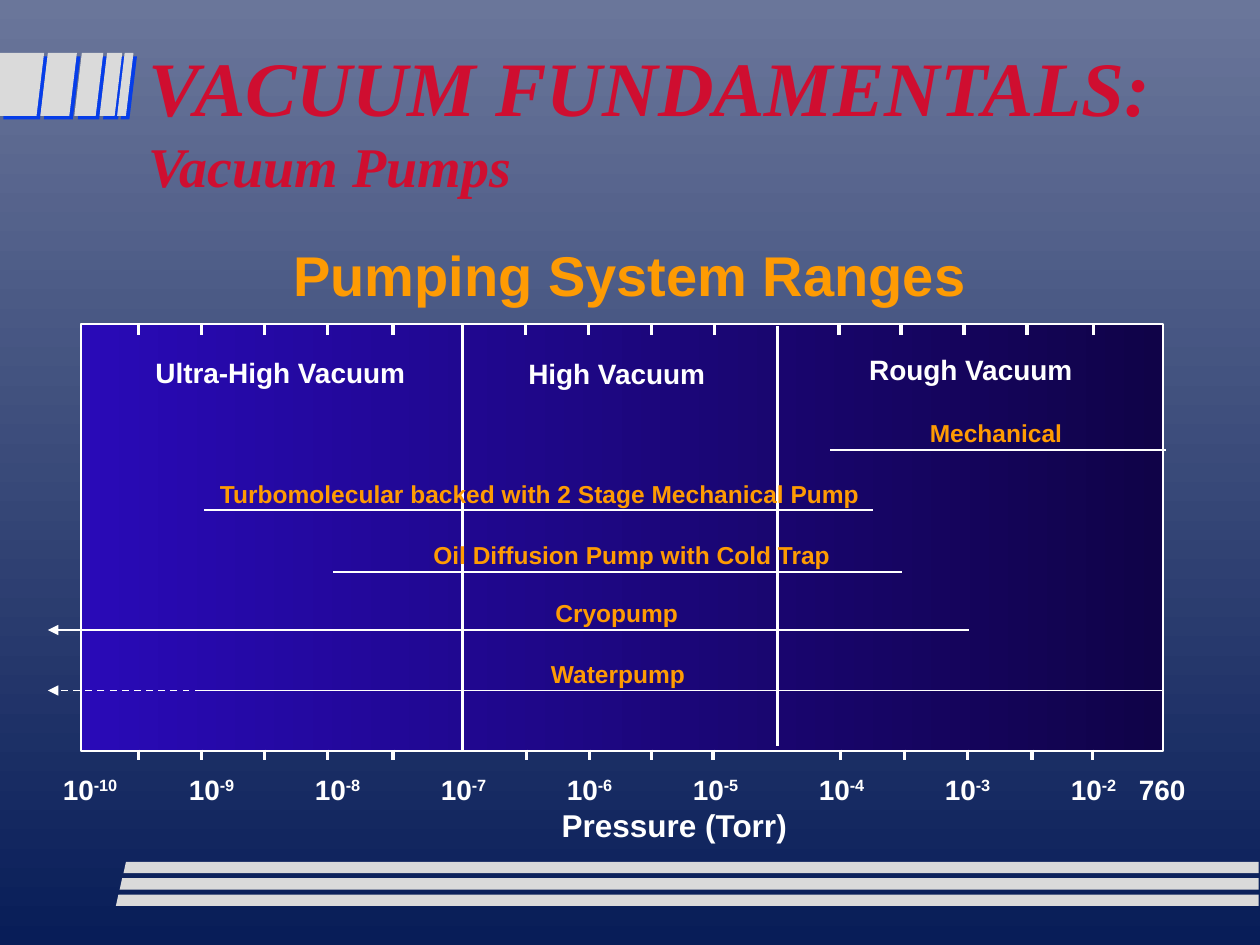
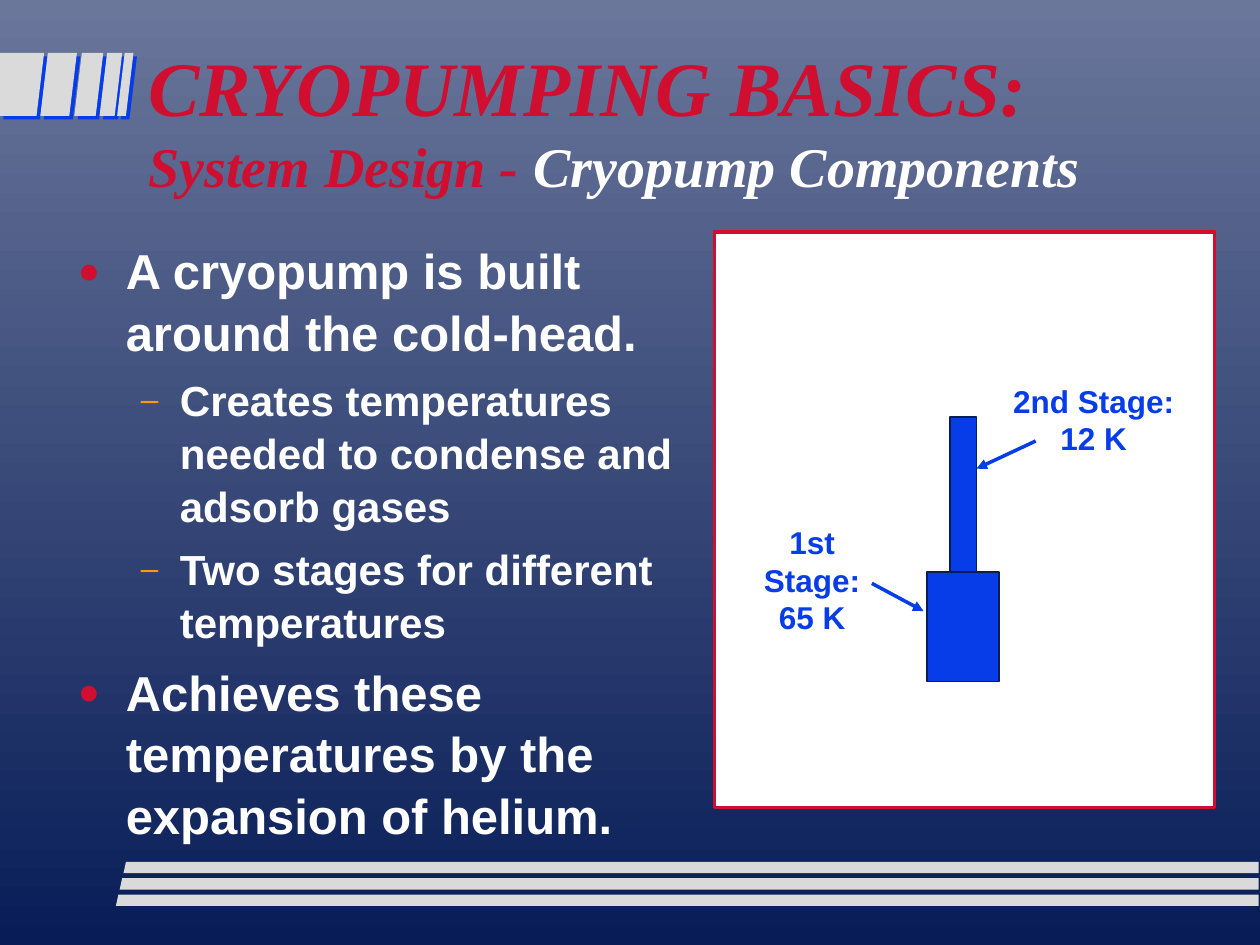
from dataclasses import dataclass

from lxml import etree
from pptx import Presentation
from pptx.dml.color import RGBColor
from pptx.enum.dml import MSO_LINE
from pptx.enum.shapes import MSO_CONNECTOR, MSO_SHAPE
from pptx.enum.text import MSO_ANCHOR, PP_ALIGN
from pptx.oxml.ns import qn
from pptx.util import Inches, Pt

STRAIGHT = MSO_CONNECTOR.STRAIGHT
RECTANGLE = MSO_SHAPE.RECTANGLE
DASH = MSO_LINE.DASH
LEFT, CENTER = PP_ALIGN.LEFT, PP_ALIGN.CENTER
MIDDLE = MSO_ANCHOR.MIDDLE


@dataclass(frozen=True)
class Theme:
    sky: RGBColor = RGBColor(0x6A, 0x76, 0x9A)
    navy: RGBColor = RGBColor(0x08, 0x1D, 0x58)
    silver: RGBColor = RGBColor(0xDA, 0xDA, 0xDA)
    blue: RGBColor = RGBColor(0x06, 0x3D, 0xE8)
    red: RGBColor = RGBColor(0xCF, 0x0E, 0x30)
    orange: RGBColor = RGBColor(0xFE, 0x9B, 0x03)
    white: RGBColor = RGBColor(0xFF, 0xFF, 0xFF)
    chart_dark: RGBColor = RGBColor(0x10, 0x03, 0x48)
    chart_light: RGBColor = RGBColor(0x29, 0x0A, 0xB7)
    title_font: str = "Times New Roman"
    body_font: str = "Arial"
    title_size: int = 44
    heading_size: int = 32
    bullet_size: int = 28
    sub_bullet_size: int = 24
    caption_size: int = 18
    region_size: int = 16
    pump_size: int = 14


THEME = Theme()


def add_text(slide, box, lines, size, color, align=CENTER, wrap=True):
    frame = slide.shapes.add_textbox(*map(Inches, box)).text_frame
    frame.word_wrap = wrap
    frame.text = "\n".join(lines)
    for paragraph in frame.paragraphs:
        paragraph.alignment = align
        font = paragraph.font
        font.name, font.size, font.bold = THEME.body_font, Pt(size), True
        font.color.rgb = color
    return frame


def add_line(slide, start, end, color, width, arrow=False, dash=None):
    line = slide.shapes.add_connector(STRAIGHT, *map(Inches, start + end))
    line.line.color.rgb = color
    line.line.width = Pt(width)
    if dash:
        line.line.dash_style = dash
    properties = line.element.spPr
    if arrow:
        etree.SubElement(properties.find(qn("a:ln")), qn("a:tailEnd"), type="triangle")
    etree.SubElement(properties, qn("a:effectLst"))


prs = Presentation()
prs.slide_width, prs.slide_height = Inches(10), Inches(7.5)

# Outlines shared by both slides: slanted flags and footer stripes
flag_tops = [(0, 0.35), (0.38, 0.61), (0.65, 0.82), (0.85, 0.97), (0.99, 1.06)]
flags = [[(left, 0.42), (right, 0.42), (right - 0.06, 0.92), (max(0, left - 0.06), 0.92)]
         for left, right in flag_tops]
stripes = []
for row in range(3):
    left, top = 1 - 0.03 * row, 6.84 + 0.13 * row
    stripes.append([(left, top), (9.99, top), (9.99, top + 0.09), (left - 0.02, top + 0.09)])
decorations = [(flag, True) for flag in flags] + [(stripe, False) for stripe in stripes]

titles = [
    ("VACUUM FUNDAMENTALS:", [("Vacuum Pumps", THEME.red)]),
    ("CRYOPUMPING BASICS:", [("System Design - ", THEME.red),
                             ("Cryopump Components", THEME.white)]),
]

# Background, decoration and title of each slide
for heading, subtitle in titles:
    slide = prs.slides.add_slide(prs.slide_layouts[6])
    background = slide.background.fill
    background.gradient()
    background.gradient_angle = 270
    for stop, color in zip(background.gradient_stops, (THEME.sky, THEME.navy)):
        stop.color.rgb = color

    for points, has_shadow in decorations:
        corners = [(Inches(x), Inches(y)) for x, y in points]
        builder = slide.shapes.build_freeform(*corners[0])
        builder.add_line_segments(corners[1:], close=True)
        outline = builder.convert_to_shape()
        outline.shadow.inherit = False
        outline.fill.solid()
        outline.fill.fore_color.rgb = THEME.silver
        outline.line.fill.background()
        if has_shadow:
            effects = outline.element.spPr.find(qn("a:effectLst"))
            shadow = etree.SubElement(effects, qn("a:outerShdw"), blurRad="0",
                                      dist=str(Pt(2.8)), dir="2700000", algn="ctr",
                                      rotWithShape="0")
            etree.SubElement(shadow, qn("a:srgbClr"), val=str(THEME.blue))

    title_box = slide.shapes.add_textbox(Inches(1.08), Inches(0.3), Inches(8.5), Inches(1.29))
    title_frame = title_box.text_frame
    title_frame.word_wrap = True
    title_frame.vertical_anchor = MIDDLE
    title = title_frame.paragraphs[0]
    title.font.name, title.font.bold, title.font.italic = THEME.title_font, True, True
    parts = [(heading, THEME.red)] + subtitle
    for number, (words, color) in enumerate(parts):
        run = title.add_run()
        run.text = words
        run.font.size = Pt(THEME.heading_size if number else THEME.title_size)
        run.font.color.rgb = color
        if number == 0:
            title.add_line_break()

ranges_slide, components_slide = prs.slides

# Slide 1: chart field and its heading
add_text(ranges_slide, (2.23, 1.86, 5.54, 0.63), ["Pumping System Ranges"],
         THEME.heading_size, THEME.orange, LEFT, wrap=False)
field = ranges_slide.shapes.add_shape(RECTANGLE, *map(Inches, (0.64, 2.57, 8.59, 3.39)))
field.shadow.inherit = False
field.fill.gradient()
field.fill.gradient_angle = 180
for stop, color in zip(field.fill.gradient_stops, (THEME.chart_dark, THEME.chart_light)):
    stop.color.rgb = color
field.line.color.rgb = THEME.white
field.line.width = Pt(1)

# Region dividers and tick marks
for x, top, bottom in [(3.67, 2.58, 5.95), (6.17, 2.59, 5.92)]:
    add_line(ranges_slide, (x, top), (x, bottom), THEME.white, 2)
left_ticks = [1.1, 1.6, 2.1, 2.6, 3.12]
upper_ticks = left_ticks + [4.17, 4.67, 5.17, 5.67, 6.66, 7.15, 7.65, 8.15, 8.68]
lower_ticks = left_ticks + [4.18, 4.68, 5.17, 5.66, 6.67, 7.18, 7.68, 8.19, 8.67]
for ticks, top, bottom in [(upper_ticks, 2.57, 2.66), (lower_ticks, 5.95, 6.03)]:
    for x in ticks:
        add_line(ranges_slide, (x, top), (x, bottom), THEME.white, 2)

# Region names
for region, left, top, width in [
    ("Ultra-High Vacuum", 1, 2.77, 2.45),
    ("High Vacuum", 3.67, 2.78, 2.45),
    ("Rough Vacuum", 6.17, 2.75, 3.07),
]:
    add_text(ranges_slide, (left, top, width, 0.36), [region], THEME.region_size, THEME.white)

# Working range of each pump: name, label left and width, range ends, height, open end
for pump, left, width, high, low, y, is_open in [
    ("Mechanical", 7.09, 1.63, 9.25, 6.59, 3.57, False),
    ("Turbomolecular backed with 2 Stage Mechanical Pump", 1.2, 6.17, 6.93, 1.62, 4.05, False),
    ("Oil Diffusion Pump with Cold Trap", 1.75, 6.53, 7.16, 2.64, 4.54, False),
    ("Cryopump", 1.82, 6.15, 7.69, 0.38, 5, True),
    ("Waterpump", 1.83, 6.15, 9.23, 1.59, 5.48, False),
]:
    add_line(ranges_slide, (high, y), (low, y), THEME.white, 1, arrow=is_open)
    add_text(ranges_slide, (left, y - 0.3, width, 0.33), [pump], THEME.pump_size, THEME.orange)
add_line(ranges_slide, (1.6, 5.48), (0.38, 5.48), THEME.white, 1, arrow=True, dash=DASH)

# Pressure axis
axis_box = ranges_slide.shapes.add_textbox(*map(Inches, (0.4, 6.08, 9.26, 0.36)))
axis_box.text_frame.word_wrap = True
axis = axis_box.text_frame.paragraphs[0]
tab_list = etree.SubElement(axis._p.get_or_add_pPr(), qn("a:tabLst"))
for position in [*range(1, 9), 8.54]:
    etree.SubElement(tab_list, qn("a:tab"), pos=str(Inches(position)), algn="l")
axis.font.name, axis.font.size, axis.font.bold = THEME.body_font, Pt(THEME.region_size), True
axis.font.color.rgb = THEME.white
for exponent in range(-10, -1):
    axis.add_run().text = "10"
    power = axis.add_run()
    power.text = f"{exponent}\t"
    power.font._element.set("baseline", "30000")
axis.add_run().text = "760"
add_text(ranges_slide, (4.36, 6.35, 2, 0.4), ["Pressure (Torr)"],
         THEME.caption_size, THEME.white, LEFT, wrap=False)

# Slide 2: cold-head drawing, panel first and then the two stages
for box, fill, border, width in [
    ((5.67, 1.84, 3.97, 4.57), THEME.white, THEME.red, 2),
    ((7.54, 3.31, 0.21, 1.28), THEME.blue, THEME.navy, 1),
    ((7.36, 4.54, 0.57, 0.87), THEME.blue, THEME.navy, 1),
]:
    block = components_slide.shapes.add_shape(RECTANGLE, *map(Inches, box))
    block.shadow.inherit = False
    block.fill.solid()
    block.fill.fore_color.rgb = fill
    block.line.color.rgb = border
    block.line.width = Pt(width)

for lines, box, start, end in [
    (["1st Stage:", "65 K"], (5.75, 4.1, 1.39, 0.7), (6.92, 4.63), (7.33, 4.85)),
    (["2nd Stage:", "12 K"], (7.94, 2.98, 1.48, 0.7), (8.22, 3.5), (7.75, 3.72)),
]:
    add_text(components_slide, box, lines, THEME.caption_size, THEME.blue, wrap=False)
    add_line(components_slide, start, end, THEME.blue, 2, arrow=True)

# Bulleted text: margin, hanging indent, space before, bullet, bullet colour, size
levels = [
    (0.38, 0.38, 7, "●", THEME.red, THEME.bullet_size),
    (0.81, 0.31, 6, "–", THEME.orange, THEME.sub_bullet_size),
]
points = [
    (0, "A cryopump is built around the cold-head."),
    (1, "Creates temperatures needed to condense and adsorb gases"),
    (1, "Two stages for different temperatures"),
    (0, "Achieves these temperatures by the expansion of helium."),
]
body_box = components_slide.shapes.add_textbox(*map(Inches, (0.52, 1.84, 5.13, 4.57)))
body = body_box.text_frame
body.word_wrap = True
for number, (level, words) in enumerate(points):
    margin, hanging, space, bullet, color, size = levels[level]
    paragraph = body.add_paragraph() if number else body.paragraphs[0]
    paragraph.text = words
    paragraph.level = level
    paragraph.line_spacing = 1.05
    if number:
        paragraph.space_before = Pt(space)
    properties = paragraph._p.get_or_add_pPr()
    properties.set("marL", str(Inches(margin)))
    properties.set("indent", str(-Inches(hanging)))
    bullet_color = etree.SubElement(properties, qn("a:buClr"))
    etree.SubElement(bullet_color, qn("a:srgbClr"), val=str(color))
    etree.SubElement(properties, qn("a:buSzPct"), val="75000")
    etree.SubElement(properties, qn("a:buFont"), typeface=THEME.body_font)
    etree.SubElement(properties, qn("a:buChar"), char=bullet)
    font = paragraph.font
    font.name, font.size, font.bold = THEME.body_font, Pt(size), True
    font.color.rgb = THEME.white

prs.save("out.pptx")
